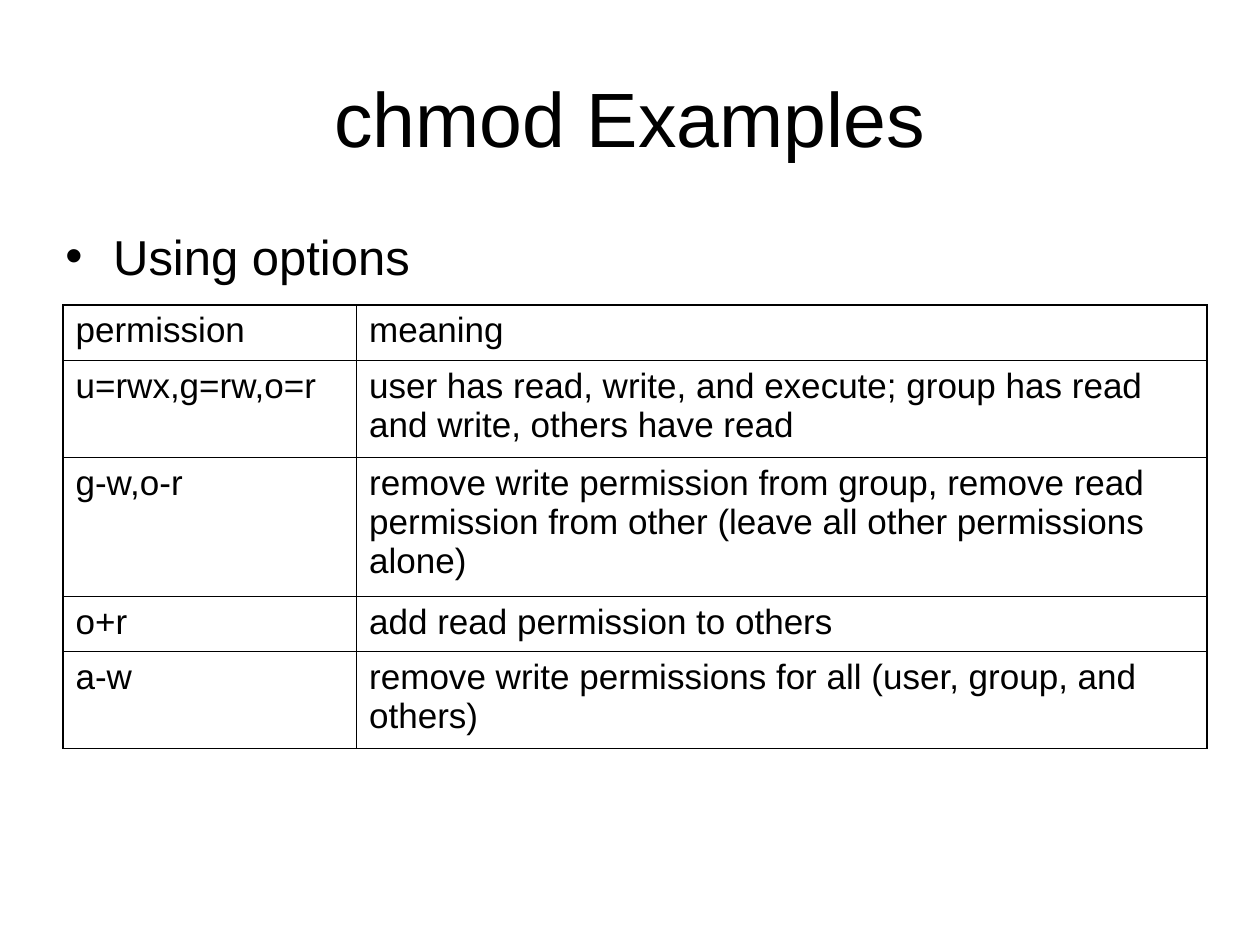
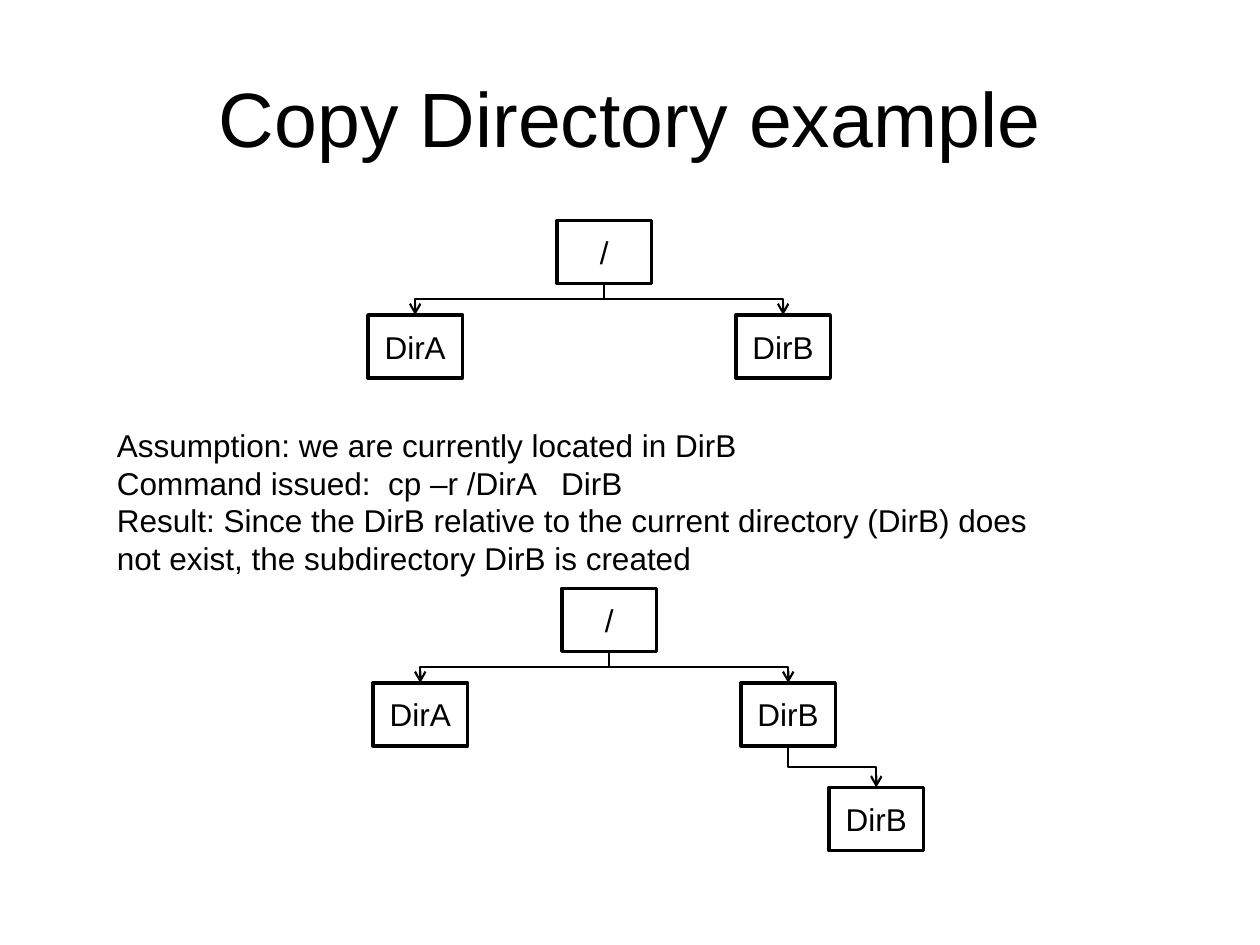
from pptx import Presentation, util as u
from pptx.dml.color import RGBColor
from pptx.enum import shapes, text
from pptx.oxml import ns, xmlchemy

BLACK = RGBColor(0, 0, 0)
WHITE = RGBColor(255, 255, 255)
FONT = "Arial"
TITLE_SIZE, BULLET_SIZE, TABLE_SIZE, BODY_SIZE = 44, 28, 20, 18
BOX_LINE, ARROW_LINE = 2, 1.25
OUTER_BORDER, INNER_BORDER = 1.08, 0.45
TITLE_BOX = (0.5, 0.3, 9, 1.25)
NODE_WIDTH, NODE_HEIGHT = 0.75, 0.5
LEVEL_STEP = 0.75

PERMISSIONS = [
    ("permission", "meaning"),
    ("u=rwx,g=rw,o=r",
     "user has read, write, and execute; group has read and write, others have read"),
    ("g-w,o-r",
     "remove write permission from group, remove read permission from other "
     "(leave all other permissions alone)"),
    ("o+r", "add read permission to others"),
    ("a-w", "remove write permissions for all (user, group, and others)"),
]
TEXT_LINES = [1, 2, 3, 1, 2]  # lines of text in each table row
COMMAND_NOTES = [
    "Assumption: we are currently located in DirB",
    "Command issued:  cp –r /DirA   DirB",
    "Result: Since the DirB relative to the current directory (DirB) does not exist, "
    "the subdirectory DirB is created",
]


def inches(*lengths):
    return [u.Inches(length) for length in lengths]


def xml_child(parent, tag, **attributes):
    child = xmlchemy.OxmlElement(tag)
    for name, value in attributes.items():
        child.set(name, str(value))
    parent.append(child)
    return child


def write(frame, lines, size, align=text.PP_ALIGN.LEFT, space_before=0):
    """Fill a text frame with one paragraph per line."""
    frame.word_wrap = True
    for index, line in enumerate(lines):
        paragraph = frame.add_paragraph() if index else frame.paragraphs[0]
        paragraph.text = line
        paragraph.alignment = align
        paragraph.space_before = u.Pt(space_before)
        paragraph.font.name = FONT
        paragraph.font.size = u.Pt(size)
        paragraph.font.color.rgb = BLACK


def add_titled_slide(presentation, title):
    slide = presentation.slides.add_slide(presentation.slide_layouts[5])
    shape = slide.shapes.title
    shape.left, shape.top, shape.width, shape.height = inches(*TITLE_BOX)
    shape.text_frame.vertical_anchor = text.MSO_ANCHOR.MIDDLE
    write(shape.text_frame, [title], TITLE_SIZE, text.PP_ALIGN.CENTER)
    return slide


def add_text(slide, box, lines, size, space_before=0):
    frame = slide.shapes.add_textbox(*inches(*box)).text_frame
    write(frame, lines, size, space_before=space_before)
    return frame


def add_bullet(slide, box, line):
    frame = add_text(slide, box, [line], BULLET_SIZE, space_before=7)
    properties = frame.paragraphs[0]._p.get_or_add_pPr()
    indent = u.Inches(0.38)
    properties.set("marL", str(indent))
    properties.set("indent", str(-indent))
    xml_child(properties, "a:buFont", typeface=FONT)
    xml_child(properties, "a:buChar", char="•")


def set_borders(cell, widths):
    """Draw the left, right, top and bottom borders of a cell, in that order."""
    properties = cell._tc.get_or_add_tcPr()
    for position, (side, width) in enumerate(zip("LRTB", widths)):
        line = xml_child(properties, f"a:ln{side}", w=u.Pt(width))
        fill = xml_child(line, "a:solidFill")
        xml_child(fill, "a:srgbClr", val=BLACK)
        properties.insert(position, line)


def add_permission_table(slide, box, rows, column_widths):
    count = len(rows)
    last_column = len(column_widths) - 1
    table = slide.shapes.add_table(count, last_column + 1, *inches(*box)).table
    table.first_row = table.horz_banding = False
    for column, width in zip(table.columns, column_widths):
        column.width = u.Inches(width)
    for r, values in enumerate(rows):
        table.rows[r].height = u.Inches(0.11 + 0.33 * TEXT_LINES[r])
        for c, value in enumerate(values):
            cell = table.cell(r, c)
            cell.fill.background()
            write(cell.text_frame, [value], TABLE_SIZE, space_before=5)
            edges = (c == 0, c == last_column, r == 0, r == count - 1)
            set_borders(cell, [OUTER_BORDER if edge else INNER_BORDER for edge in edges])


def add_node(slide, left, top, name):
    node = slide.shapes.add_shape(shapes.MSO_SHAPE.RECTANGLE,
                                  *inches(left, top, NODE_WIDTH, NODE_HEIGHT))
    node.shadow.inherit = False
    node.fill.solid()
    node.fill.fore_color.rgb = WHITE
    node.line.color.rgb = BLACK
    node.line.width = u.Pt(BOX_LINE)
    node.text_frame.vertical_anchor = text.MSO_ANCHOR.MIDDLE
    write(node.text_frame, [name], BODY_SIZE, text.PP_ALIGN.CENTER)
    return node


def add_branch(slide, parent, child):
    """Join the bottom of the parent to the top of the child with a bent arrow."""
    start_x, start_y = parent.left + parent.width // 2, parent.top + parent.height
    end_x, end_y = child.left + child.width // 2, child.top
    branch = slide.shapes.add_connector(shapes.MSO_CONNECTOR.ELBOW,
                                        start_x, start_y, end_x, end_y)
    branch.begin_connect(parent, 2)
    branch.end_connect(child, 0)
    branch.line.color.rgb = BLACK
    branch.line.width = u.Pt(ARROW_LINE)
    xml_child(branch.line._get_or_add_ln(), "a:tailEnd", type="arrow")

    # A quarter turn makes the elbow leave and arrive vertically
    drop, reach = end_y - start_y, abs(end_x - start_x)
    branch.width, branch.height = drop, reach
    branch.left = (start_x + end_x - drop) // 2
    branch.top = (start_y + end_y - reach) // 2
    rightward = end_x > start_x
    properties = branch._element.spPr
    frame = properties.find(ns.qn("a:xfrm"))
    frame.set("rot", str((270 if rightward else 90) * 60000))
    frame.set("flipH", str(int(rightward)))
    frame.set("flipV", "0")
    xml_child(properties, "a:effectLst")


def add_directory_tree(slide, left, top, has_subdirectory=False):
    """Root above DirA and DirB; DirB may hold a further DirB."""
    root = add_node(slide, left + 1.5, top, "/")
    second_level = top + LEVEL_STEP
    dir_a = add_node(slide, left, second_level, "DirA")
    dir_b = add_node(slide, left + 2.92, second_level, "DirB")
    branches = [(root, dir_a), (root, dir_b)]
    if has_subdirectory:
        subdirectory = add_node(slide, left + 3.62, second_level + 0.83, "DirB")
        branches.append((dir_b, subdirectory))
    for parent, child in branches:
        add_branch(slide, parent, child)


presentation = Presentation()
presentation.slide_width, presentation.slide_height = inches(10, 7.5)

# Permission options
slide = add_titled_slide(presentation, "chmod Examples")
add_bullet(slide, (0.42, 1.75, 4.42, 0.67), "Using options")
add_permission_table(slide, (0.5, 2.42, 9.08, 3.5), PERMISSIONS, (2.33, 6.75))

# Directory trees before and after the copy
slide = add_titled_slide(presentation, "Copy Directory example")
add_directory_tree(slide, 2.92, 1.75)
add_text(slide, (0.83, 3.33, 7.75, 1.3), COMMAND_NOTES, BODY_SIZE)
add_directory_tree(slide, 2.96, 4.67, has_subdirectory=True)

presentation.save("out.pptx")
